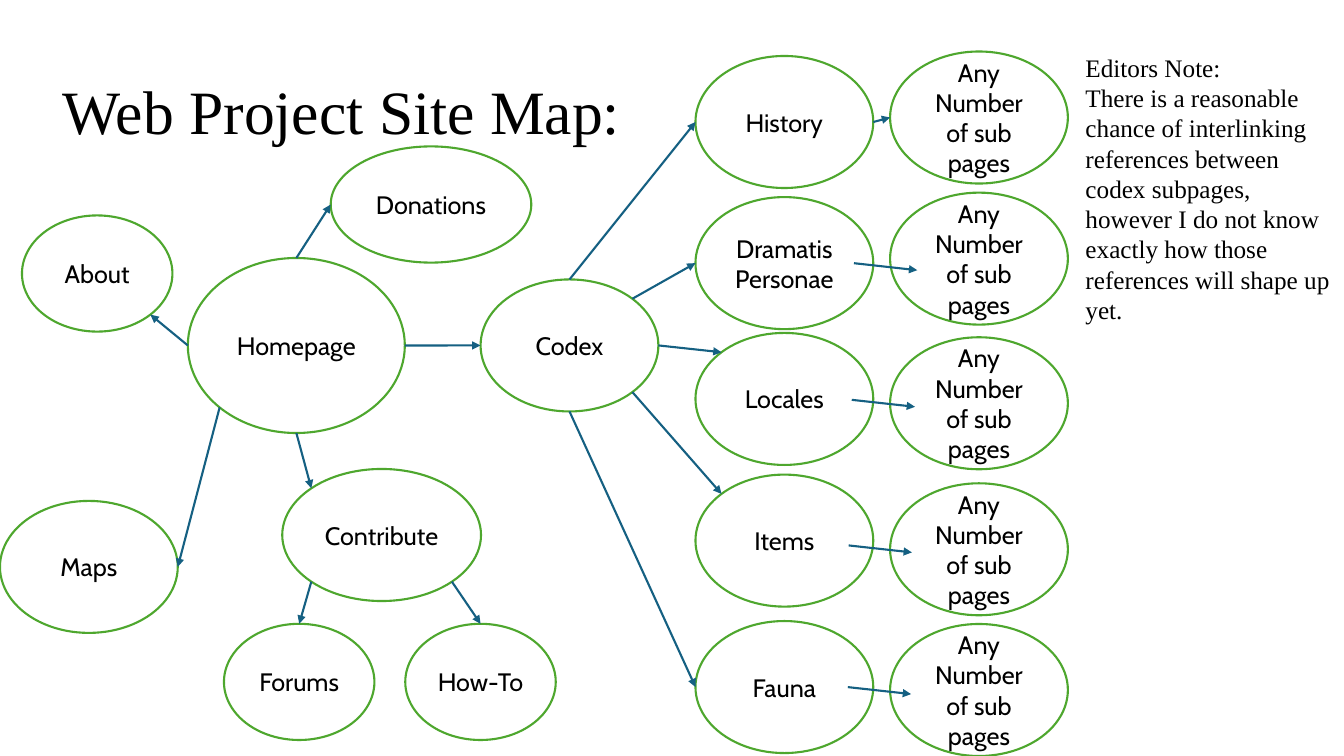
from dataclasses import dataclass
from lxml import etree
from pptx import Presentation
from pptx.dml.color import RGBColor
from pptx.enum.shapes import MSO_CONNECTOR, MSO_SHAPE
from pptx.enum.text import MSO_ANCHOR, MSO_AUTO_SIZE, PP_ALIGN
from pptx.oxml.ns import qn
from pptx.util import Pt

OVAL = MSO_SHAPE.OVAL
STRAIGHT = MSO_CONNECTOR.STRAIGHT
MIDDLE = MSO_ANCHOR.MIDDLE
LEFT, CENTER = PP_ALIGN.LEFT, PP_ALIGN.CENTER
FIT, FIXED = MSO_AUTO_SIZE.SHAPE_TO_FIT_TEXT, MSO_AUTO_SIZE.NONE


@dataclass(frozen=True)
class Theme:
    ink: RGBColor = RGBColor(0, 0, 0)
    fill: RGBColor = RGBColor(255, 255, 255)
    edge: RGBColor = RGBColor(0x4E, 0xA7, 0x2E)
    arrow: RGBColor = RGBColor(0x15, 0x60, 0x82)
    serif: str = "Times New Roman"
    sans: str = "Cabin"
    title: float = 44
    body: float = 18
    line: float = 1.5


THEME = Theme()
TITLE = "Web Project Site Map:"
TITLE_BOX = (37.5, 29.5, 414, 104.5)
NOTE = [
    "Editors Note:",
    "There is a reasonable chance of interlinking references between codex "
    "subpages, however I do not know exactly how those references will shape up yet.",
]
NOTE_BOX = (768.3, 33.8, 191.5, 203.8)

LARGE, SMALL = (127, 94.3), (107.5, 83)
PAGES = {
    "Homepage": (134.2, 184.3, 155, 125),
    "Maps": (0, 357.8, *LARGE),
    "Codex": (343.3, 199.6, *LARGE),
    "Contribute": (201.6, 335, 142, 94.3),
    "Forums": (160, 445.6, *SMALL),
    "How-To": (289.5, 445.6, *SMALL),
    "About": (15.7, 153.9, *SMALL),
    "Donations": (236.2, 104.6, 143.3, 83),
}
TOPIC_X, SUB_X = 496.8, 635.8
SUB = "Any Number of sub pages"
TOPICS = [
    ("History", 40, 36.8),
    ("Dramatis Personae", 140.8, 137.6),
    ("Locales", 237.8, 240.9),
    ("Items", 339, 345.2),
    ("Fauna", 443.6, 445.7),
]
LINKS = [
    ("Homepage", "left", "About", "low right"),
    ("Homepage", "low left", "Maps", "right"),
    ("Homepage", "low", "Contribute", "top left"),
    ("Homepage", "right", "Codex", "left"),
    ("Homepage", "top", "Donations", "left"),
    ("Contribute", "low left", "Forums", "top"),
    ("Contribute", "low right", "How-To", "top"),
    ("Codex", "top", "History", "left"),
    ("Codex", "top right", "Dramatis Personae", "left"),
    ("Codex", "right", "Locales", "top left"),
    ("Codex", "low right", "Items", "top left"),
    ("Codex", "low", "Fauna", "left"),
]
SUB_STARTS = [(610, 188), (608.4, 285.6), (606.2, 389.6), (605.6, 490.8)]
SUB_STEP = (45.2, 5)


def points(box):
    return [Pt(part) for part in box]


def write(para, text, size, face, align=LEFT):
    para.alignment = align
    run = para.add_run()
    run.text = text
    run.font.size = Pt(size)
    run.font.name = face
    run.font.color.rgb = THEME.ink


def add_page(slide, text, box):
    page = slide.shapes.add_shape(OVAL, *points(box))
    page.shadow.inherit = False
    page.fill.solid()
    page.fill.fore_color.rgb = THEME.fill
    page.line.color.rgb = THEME.edge
    page.line.width = Pt(THEME.line)
    frame = page.text_frame
    frame.word_wrap = True
    frame.vertical_anchor = MIDDLE
    write(frame.paragraphs[0], text, THEME.body, THEME.sans, CENTER)


def add_arrow(slide, start, end):
    arrow = slide.shapes.add_connector(STRAIGHT, *points(start + end))
    arrow.line.color.rgb = THEME.arrow
    arrow.line.width = Pt(THEME.line)
    etree.SubElement(arrow.line._get_or_add_ln(), qn("a:tailEnd"), type="triangle")
    etree.SubElement(arrow._element.spPr, qn("a:effectLst"))


def rim(box, side):
    left, top, width, height = box
    across = ("right" in side) - ("left" in side)
    down = ("low" in side) - ("top" in side)
    reach = 0.5 / (across ** 2 + down ** 2) ** 0.5
    return (left + width * (0.5 + across * reach),
            top + height * (0.5 + down * reach))


def main():
    deck = Presentation()
    deck.slide_width, deck.slide_height = Pt(960), Pt(540)
    slide = deck.slides.add_slide(deck.slide_layouts[5])

    title = slide.shapes.title
    title.left, title.top, title.width, title.height = points(TITLE_BOX)
    frame = title.text_frame
    frame.word_wrap = True
    frame.auto_size = FIXED
    frame.vertical_anchor = MIDDLE
    frame.paragraphs[0].line_spacing = 0.9
    write(frame.paragraphs[0], TITLE, THEME.title, THEME.serif)

    pages = PAGES | {name: (TOPIC_X, top, *LARGE) for name, top, _ in TOPICS}
    subs = [(SUB_X, top, *LARGE) for _, _, top in TOPICS]
    for name, box in pages.items():
        add_page(slide, name, box)
    for box in subs:
        add_page(slide, SUB, box)

    for source, start, target, end in LINKS:
        add_arrow(slide, rim(pages[source], start), rim(pages[target], end))
    add_arrow(slide, rim(pages["History"], "right"), rim(subs[0], "left"))
    for x, y in SUB_STARTS:
        add_arrow(slide, (x, y), (x + SUB_STEP[0], y + SUB_STEP[1]))

    note = slide.shapes.add_textbox(*points(NOTE_BOX)).text_frame
    note.word_wrap = True
    note.auto_size = FIT
    for index, text in enumerate(NOTE):
        para = note.add_paragraph() if index else note.paragraphs[0]
        write(para, text, THEME.body, THEME.serif)

    deck.save("out.pptx")


if __name__ == "__main__":
    main()
